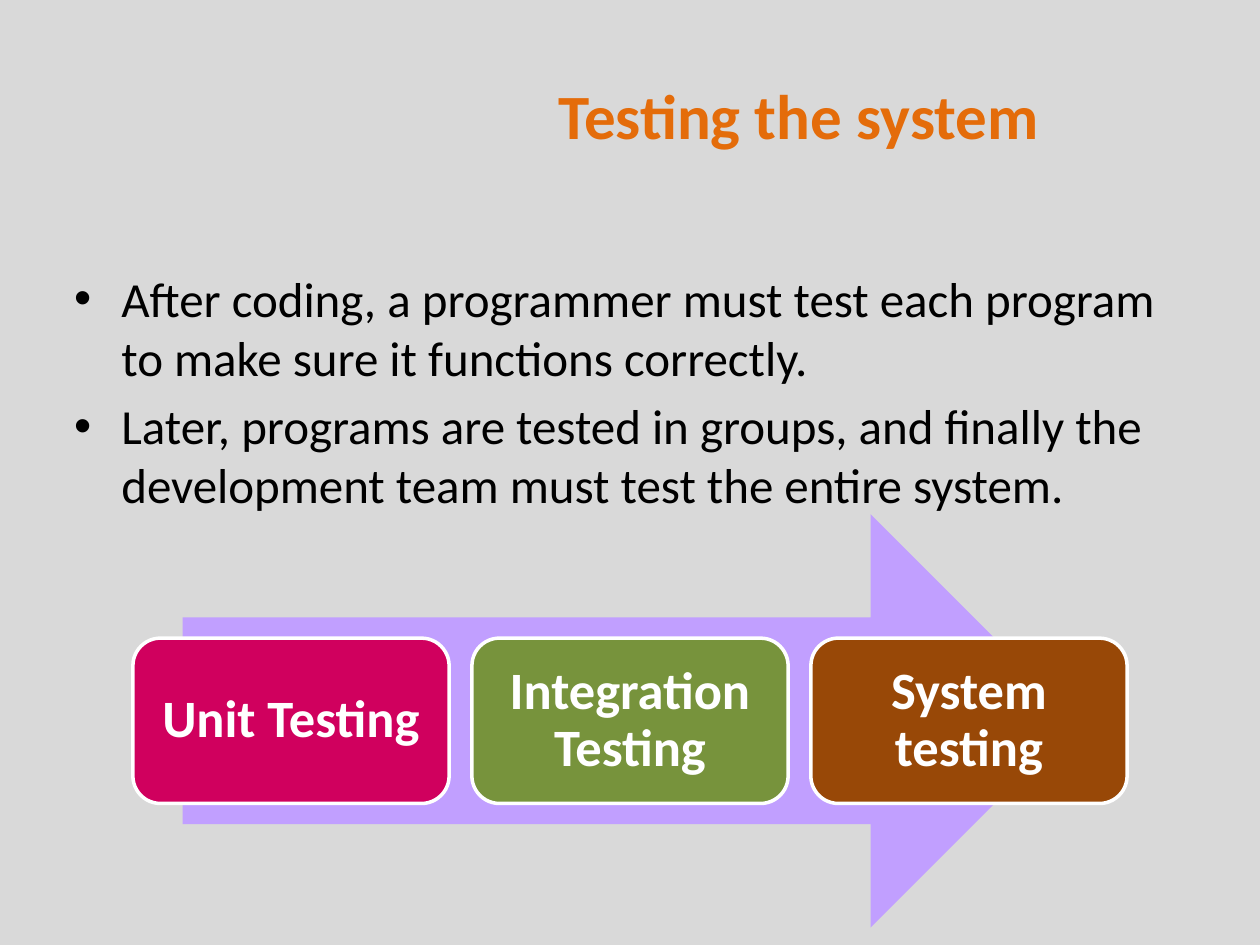
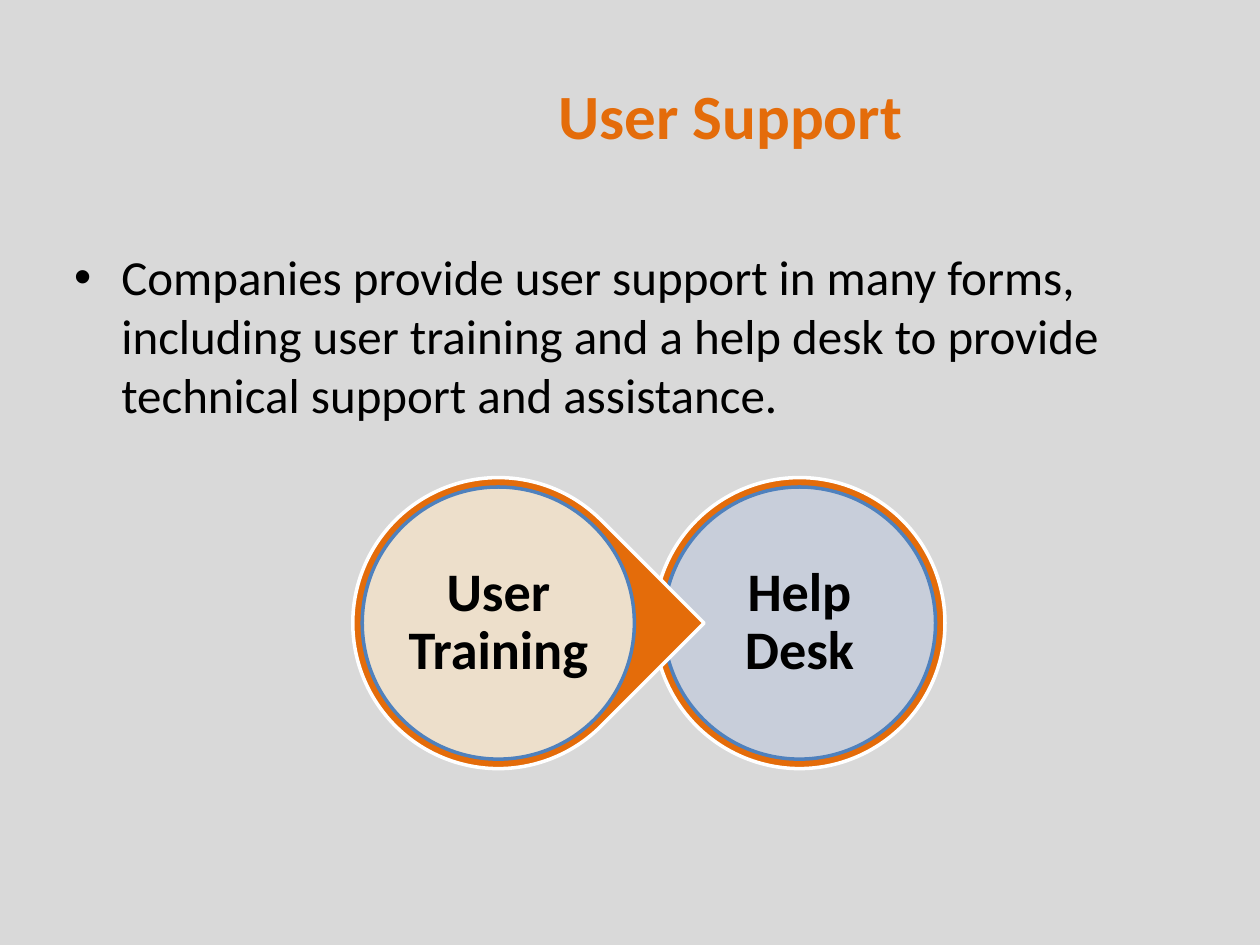
from lxml import etree
from pptx import Presentation
from pptx.dml.color import RGBColor
from pptx.enum import shapes, text
from pptx.oxml import ns
from pptx.util import Pt

FONT = "Calibri"
GREY = RGBColor(0xD9, 0xD9, 0xD9)
ORANGE = RGBColor(0xE4, 0x6C, 0x0A)
BLACK = RGBColor(0, 0, 0)
WHITE = RGBColor(0xFF, 0xFF, 0xFF)
LILAC = RGBColor(0xC1, 0x9F, 0xFF)
PINK = RGBColor(0xD0, 0x00, 0x5E)
GREEN = RGBColor(0x77, 0x93, 0x3C)
BROWN = RGBColor(0x98, 0x48, 0x07)
BLUE = RGBColor(0x4F, 0x81, 0xBD)
PALE_BLUE = RGBColor(0xC6, 0xD9, 0xF1)
CREAM = RGBColor(0xEE, 0xEC, 0xE1)


def format_runs(paragraph, size, color, bold=False):
    for run in paragraph.runs:
        run.font.name = FONT
        run.font.size = Pt(size)
        run.font.bold = bold
        run.font.color.rgb = color


def add_text_frame(slide, box):
    frame = slide.shapes.add_textbox(*(Pt(length) for length in box)).text_frame
    frame.word_wrap = True
    return frame


def add_shape(slide, kind, box, fill, line=None):
    shape = slide.shapes.add_shape(kind, *(Pt(length) for length in box))
    shape.shadow.inherit = False
    shape.fill.solid()
    shape.fill.fore_color.rgb = fill
    if line is None:
        shape.line.fill.background()
    else:
        shape.line.color.rgb = line
        shape.line.width = Pt(2)
    return shape


def set_opacity(shape, percent):
    color = shape.fill._xPr.find(".//" + ns.qn("a:srgbClr"))
    etree.SubElement(color, ns.qn("a:alpha"), val=str(percent * 1000))


def add_label(shape, label, size, color, inset):
    frame = shape.text_frame
    frame.text = label
    frame.word_wrap = True
    frame.vertical_anchor = text.MSO_ANCHOR.MIDDLE
    frame.margin_left = frame.margin_right = Pt(inset)
    frame.margin_top = frame.margin_bottom = Pt(inset)
    paragraph = frame.paragraphs[0]
    paragraph.alignment = text.PP_ALIGN.CENTER
    paragraph.line_spacing = 0.9
    format_runs(paragraph, size, color, bold=True)


def add_title(slide, box, title):
    frame = add_text_frame(slide, box)
    frame.text = title
    frame.vertical_anchor = text.MSO_ANCHOR.MIDDLE
    format_runs(frame.paragraphs[0], 36, ORANGE, bold=True)


def add_bullets(slide, box, bullets):
    frame = add_text_frame(slide, box)
    frame.text = "\n".join(bullets)
    for paragraph in frame.paragraphs:
        paragraph.space_before = Pt(5.6)
        format_runs(paragraph, 28, BLACK)
        properties = paragraph._p.get_or_add_pPr()
        properties.set("marL", str(Pt(27)))
        properties.set("indent", str(Pt(-27)))
        etree.SubElement(properties, ns.qn("a:buFont"), typeface="Arial")
        etree.SubElement(properties, ns.qn("a:buChar"), char="•")


def add_process_arrow(slide, box, steps):
    left, top, width, height = box
    arrow_width = 0.85 * width
    arrow_box = (left + (width - arrow_width) / 2, top, arrow_width, height)
    add_shape(slide, shapes.MSO_SHAPE.RIGHT_ARROW, arrow_box, LILAC)

    step_width, step_height, gap = 180.7, 0.4 * height, 13
    row_width = len(steps) * (step_width + gap) - gap
    row_left = left + (width - row_width) / 2
    step_top = top + (height - step_height) / 2
    for index, (label, color) in enumerate(steps):
        step_box = (row_left + index * (step_width + gap), step_top, step_width, step_height)
        step = add_shape(slide, shapes.MSO_SHAPE.ROUNDED_RECTANGLE, step_box, color, WHITE)
        add_label(step, label, 30, WHITE, 8.6)


def add_support_circle(slide, box, kind, label, color):
    left, top, size, _ = box
    rim = 5.4
    ring = add_shape(slide, kind, box, ORANGE, WHITE)
    if kind == shapes.MSO_SHAPE.TEAR:
        ring.rotation = 45
    disc_size = size - 2 * rim
    disc_box = (left + rim, top + rim, disc_size, disc_size)
    disc = add_shape(slide, shapes.MSO_SHAPE.OVAL, disc_box, color, BLUE)
    set_opacity(disc, 90)
    add_label(disc, label, 31, BLACK, 2.9)


def add_support_chain(slide, box):
    left, top, width, size = box
    add_support_circle(slide, (left + width - size, top, size, size),
                       shapes.MSO_SHAPE.OVAL, "Help Desk", PALE_BLUE)
    add_support_circle(slide, (left, top, size, size),
                       shapes.MSO_SHAPE.TEAR, "User Training", CREAM)


def add_content_slide(presentation, title, bullets, bullets_top, bullets_height):
    slide = presentation.slides.add_slide(presentation.slide_layouts[6])
    slide.background.fill.solid()
    slide.background.fill.fore_color.rgb = GREY
    add_title(slide, (312, 29.5, 384, 72), title)
    add_bullets(slide, (35.3, bullets_top, 648, bullets_height), bullets)
    return slide


def add_testing_slide(presentation):
    slide = add_content_slide(presentation, "Testing the system", [
        "After coding, a programmer must test each program to make sure it functions correctly.",
        "Later, programs are tested in groups, and finally the development team must test "
        "the entire system.",
    ], 149.8, 324.7)
    add_process_arrow(slide, (59.3, 293.8, 601.4, 236.2), [
        ("Unit Testing", PINK),
        ("Integration Testing", GREEN),
        ("System testing", BROWN),
    ])


def add_support_slide(presentation):
    slide = add_content_slide(presentation, "User Support", [
        "Companies provide user support in many forms, including user training and a help desk "
        "to provide technical support and assistance.",
    ], 137.5, 108)
    add_support_chain(slide, (201.6, 272.9, 338.4, 166.3))


def main():
    presentation = Presentation()
    presentation.slide_width = Pt(720)
    presentation.slide_height = Pt(540)
    add_testing_slide(presentation)
    add_support_slide(presentation)
    presentation.save("out.pptx")


if __name__ == "__main__":
    main()
